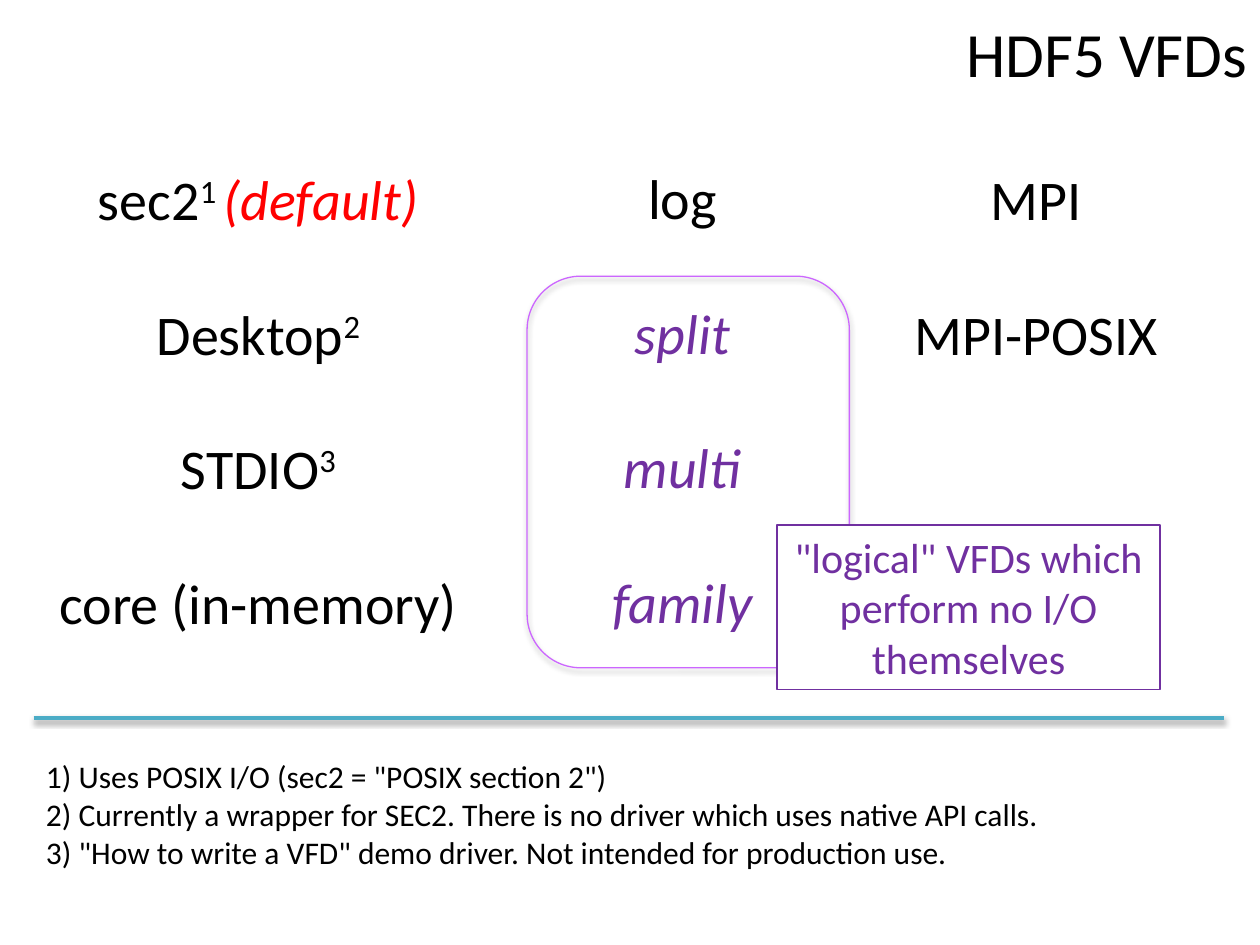
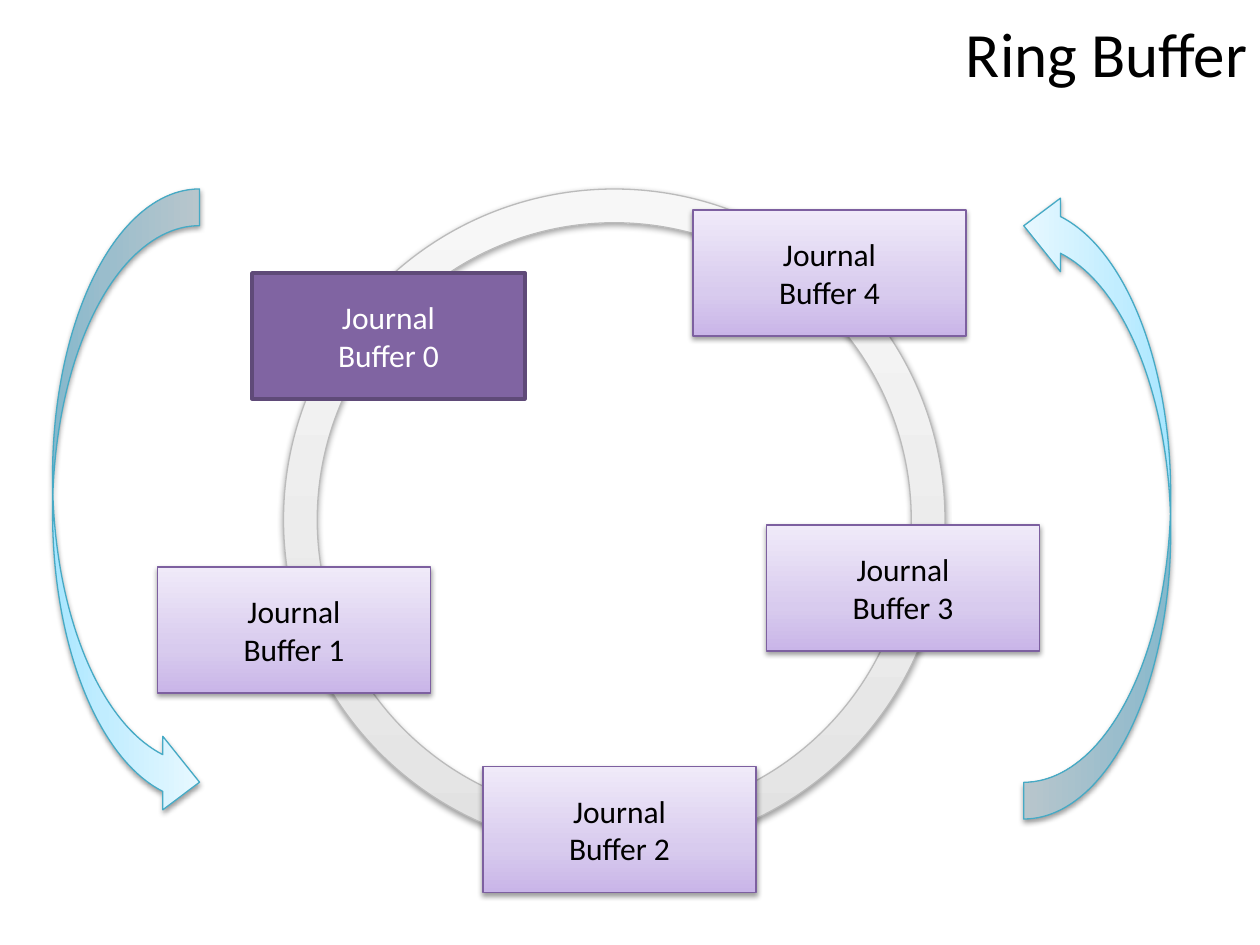
from dataclasses import dataclass
from typing import NamedTuple, Optional

from lxml.etree import SubElement
from pptx import Presentation
from pptx.dml.color import RGBColor
from pptx.enum.shapes import MSO_CONNECTOR, MSO_SHAPE
from pptx.enum.text import MSO_ANCHOR, PP_ALIGN
from pptx.oxml.ns import qn
from pptx.util import Inches, Length, Pt

FONT = "Calibri"
CELL = Inches(10) / 120  # the slide is a grid of 120 columns and 90 rows
COLUMNS, ROWS = 120, 90
TITLE_ONLY = 5

BLACK = RGBColor(0x00, 0x00, 0x00)
WHITE = RGBColor(0xFF, 0xFF, 0xFF)
RED = RGBColor(0xFF, 0x00, 0x00)
PURPLE = RGBColor(0x70, 0x30, 0xA0)
ORCHID = RGBColor(0xCC, 0x66, 0xFF)
TEAL = RGBColor(0x4B, 0xAC, 0xC6)
ARROW_EDGE = RGBColor(0x46, 0xAA, 0xC5)
RING_EDGE = RGBColor(0xBB, 0xBB, 0xBB)
BUFFER_EDGE = RGBColor(0x7D, 0x60, 0xA0)
ACTIVE_FILL = RGBColor(0x80, 0x64, 0xA2)
ACTIVE_EDGE = RGBColor(0x5F, 0x4A, 0x78)

GRADIENT_STOPS = (0, 35, 100)
GREYS = (RGBColor(0xE2, 0xE2, 0xE2), RGBColor(0xEA, 0xEA, 0xEA), RGBColor(0xF7, 0xF7, 0xF7))
LILACS = (RGBColor(0xC9, 0xB5, 0xE8), RGBColor(0xD8, 0xCB, 0xEE), RGBColor(0xF0, 0xEA, 0xF9))
AQUAS = (RGBColor(0xA7, 0xE6, 0xFF), RGBColor(0xC1, 0xED, 0xFF), RGBColor(0xE7, 0xF8, 0xFF))


class Area(NamedTuple):
    """A rectangle in grid cells."""
    column: float
    row: float
    columns: float
    rows: float

    def lengths(self) -> list[Length]:
        return [cells(value) for value in self]


class Words(NamedTuple):
    text: str
    color: RGBColor = BLACK
    italic: bool = False
    superscript: bool = False


class Shadow(NamedTuple):
    opacity: int = 38
    distance: float = 1.6
    blur: float = 3.1


@dataclass
class Style:
    edge: RGBColor
    edge_width: float = 0.75
    fill: Optional[RGBColor] = None
    gradient: Optional[tuple] = None
    shadow: Optional[Shadow] = Shadow()


@dataclass
class TextColumn:
    area: Area
    lines: list[list[Words]]
    size: float = 32
    gap: float = 38.4
    align: PP_ALIGN = PP_ALIGN.CENTER


class Buffer(NamedTuple):
    column: float
    row: float
    active: bool = False


class TurnArrow(NamedTuple):
    column: float
    rotation: int


RING_STYLE = Style(RING_EDGE, gradient=GREYS)
BUFFER_STYLE = Style(BUFFER_EDGE, gradient=LILACS)
ACTIVE_STYLE = Style(ACTIVE_EDGE, 2, fill=ACTIVE_FILL, shadow=None)
ARROW_STYLE = Style(ARROW_EDGE, gradient=AQUAS)
GROUP_STYLE = Style(ORCHID, shadow=Shadow(35, 1.8))
CALLOUT_STYLE = Style(PURPLE, fill=WHITE, shadow=None)

DRIVER_COLUMNS = [
    TextColumn(Area(3.2, 15.1, 42.8, 46.4), [
        [Words("sec2"), Words("1 ", superscript=True), Words("(default)", RED, italic=True)],
        [Words("Desktop"), Words("2", superscript=True)],
        [Words("STDIO"), Words("3", superscript=True)],
        [Words("core (in-memory)")],
    ]),
    TextColumn(Area(43.6, 15, 42.8, 52.9), [
        [Words("log")],
        *([Words(name, PURPLE, italic=True)] for name in ("split", "multi", "family")),
    ]),
    TextColumn(Area(78.8, 15.1, 39.8, 20.6), [[Words("MPI")], [Words("MPI-POSIX")]]),
]
FOOTNOTES = TextColumn(Area(3.2, 71.5, 115.6, 12.1), [
    [Words('1) Uses POSIX I/O (sec2 = "POSIX section 2")')],
    [Words("2) Currently a wrapper for SEC2. There is no driver which uses native API calls.")],
    [Words('3) "How to write a VFD" demo driver. Not intended for production use.')],
], size=18, gap=0, align=PP_ALIGN.LEFT)

BUFFERS = [Buffer(24, 26, active=True), Buffer(15, 54), Buffer(46, 73),
           Buffer(73, 50), Buffer(66, 20)]
TURN_ARROWS = [TurnArrow(74.5, 270), TurnArrow(-18, 90)]


def cells(count: float) -> Length:
    return Length(round(count * CELL))


def write(frame, lines: list[list[Words]], size: float, align: PP_ALIGN = PP_ALIGN.CENTER,
          gap: float = 0) -> None:
    frame.word_wrap = True
    for index, line in enumerate(lines):
        paragraph = frame.add_paragraph() if index else frame.paragraphs[0]
        paragraph.alignment = align
        paragraph.space_before = Pt(gap if index else 0)
        for words in line:
            run = paragraph.add_run()
            run.text = words.text
            run.font.name = FONT
            run.font.size = Pt(size)
            run.font.italic = words.italic
            run.font.color.rgb = words.color
            if words.superscript:
                run.font._element.set("baseline", "30000")


def set_effects(shape, shadow: Optional[Shadow]) -> None:
    """Give a shape or connector its own shadow, or none; call after fill and line."""
    effects = SubElement(shape._element.spPr, qn("a:effectLst"))
    if shadow:
        outer = SubElement(effects, qn("a:outerShdw"), blurRad=str(Pt(shadow.blur)),
                           dist=str(Pt(shadow.distance)), dir="5400000", rotWithShape="0")
        color = SubElement(outer, qn("a:srgbClr"), val=str(BLACK))
        SubElement(color, qn("a:alpha"), val=str(shadow.opacity * 1000))


def set_gradient(shape, colors: tuple) -> None:
    shape.fill.gradient()
    shape.fill.gradient_angle = 90
    stops = shape._element.spPr.find(".//" + qn("a:gsLst"))
    for stop in list(stops):
        stops.remove(stop)
    for position, color in zip(GRADIENT_STOPS, colors):
        stop = SubElement(stops, qn("a:gs"), pos=str(position * 1000))
        SubElement(stop, qn("a:srgbClr"), val=str(color))


def add_styled_shape(slide, kind: MSO_SHAPE, area: Area, style: Style):
    shape = slide.shapes.add_shape(kind, *area.lengths())
    if style.gradient:
        set_gradient(shape, style.gradient)
    elif style.fill is not None:
        shape.fill.solid()
        shape.fill.fore_color.rgb = style.fill
    else:
        shape.fill.background()
    shape.line.color.rgb = style.edge
    shape.line.width = Pt(style.edge_width)
    set_effects(shape, style.shadow)
    return shape


def add_text_column(slide, column: TextColumn) -> None:
    box = slide.shapes.add_textbox(*column.area.lengths())
    write(box.text_frame, column.lines, column.size, column.align, column.gap)


def add_titled_slide(presentation, text: str):
    slide = presentation.slides.add_slide(presentation.slide_layouts[TITLE_ONLY])
    title = slide.shapes.title
    title.left, title.top, title.width, title.height = Area(17, 0, 103, 10).lengths()
    title.text_frame.vertical_anchor = MSO_ANCHOR.MIDDLE
    write(title.text_frame, [[Words(text)]], 36, PP_ALIGN.RIGHT)
    return slide


def add_drivers_slide(presentation) -> None:
    slide = add_titled_slide(presentation, "HDF5 VFDs")
    *first_columns, last_column = DRIVER_COLUMNS
    for column in (*first_columns, FOOTNOTES):
        add_text_column(slide, column)

    add_styled_shape(slide, MSO_SHAPE.ROUNDED_RECTANGLE,
                     Area(50.2, 26.3, 30.7, 37.3), GROUP_STYLE)
    callout = add_styled_shape(slide, MSO_SHAPE.RECTANGLE,
                               Area(74, 50, 36.5, 15.7), CALLOUT_STYLE)
    callout.text_frame.vertical_anchor = MSO_ANCHOR.TOP
    write(callout.text_frame,
          [[Words('"logical" VFDs which perform no I/O themselves', PURPLE)]], 24)

    divider = slide.shapes.add_connector(MSO_CONNECTOR.STRAIGHT, cells(3.2), cells(68.4),
                                         cells(116.6), cells(68.4))
    divider.line.color.rgb = TEAL
    divider.line.width = Pt(2)
    set_effects(divider, Shadow())
    add_text_column(slide, last_column)


def add_ring_slide(presentation) -> None:
    slide = add_titled_slide(presentation, "Ring Buffer")
    ring = add_styled_shape(slide, MSO_SHAPE.DONUT, Area(27, 18, 63, 63), RING_STYLE)
    ring.adjustments[0] = 0.051

    for number, buffer in enumerate(BUFFERS):
        box = add_styled_shape(slide, MSO_SHAPE.RECTANGLE,
                               Area(buffer.column, buffer.row, 26, 12),
                               ACTIVE_STYLE if buffer.active else BUFFER_STYLE)
        box.text_frame.vertical_anchor = MSO_ANCHOR.MIDDLE
        color = WHITE if buffer.active else BLACK
        write(box.text_frame,
              [[Words("Journal", color)], [Words(f"Buffer {number}", color)]], 18)

    for turn in TURN_ARROWS:
        arrow = add_styled_shape(slide, MSO_SHAPE.CURVED_UP_ARROW,
                                 Area(turn.column, 41, 60, 14), ARROW_STYLE)
        arrow.rotation = turn.rotation


def main() -> None:
    presentation = Presentation()
    presentation.slide_width = cells(COLUMNS)
    presentation.slide_height = cells(ROWS)
    add_drivers_slide(presentation)
    add_ring_slide(presentation)
    presentation.save("out.pptx")


if __name__ == "__main__":
    main()
